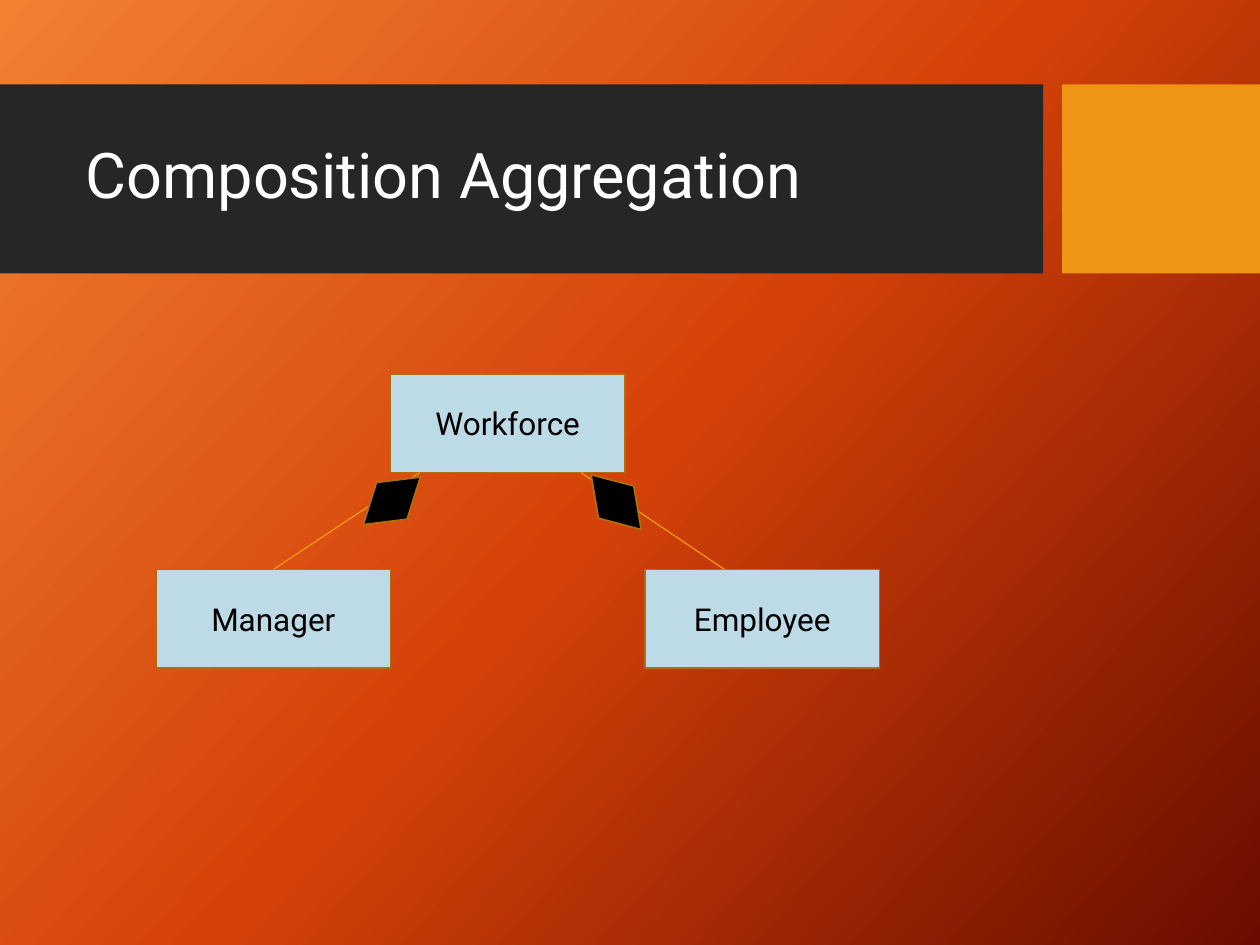
from copy import deepcopy

from pptx import Presentation
from pptx.dml.color import RGBColor
from pptx.enum.shapes import MSO_CONNECTOR, MSO_SHAPE
from pptx.enum.text import MSO_ANCHOR, MSO_AUTO_SIZE, PP_ALIGN
from pptx.oxml.ns import qn
from pptx.util import Inches, Pt

FONT = "Roboto"
WHITE = RGBColor(0xFF, 0xFF, 0xFF)
BLACK = RGBColor(0x00, 0x00, 0x00)
CHARCOAL = RGBColor(0x26, 0x26, 0x26)
AMBER = RGBColor(0xF0, 0x94, 0x15)
BRONZE = RGBColor(0xB2, 0x6D, 0x10)
PALE_BLUE = RGBColor(0xBD, 0xDB, 0xE6)
BACKGROUND_COLORS = (
    RGBColor(0xF1, 0x80, 0x31),
    RGBColor(0xD5, 0x42, 0x09),
    RGBColor(0x6A, 0x0D, 0x00),
)

BAND_TOP, BAND_HEIGHT = 0.67, 1.5
CLASS_WIDTH, CLASS_HEIGHT = 1.86, 0.78
PARENT_TOP, CHILD_TOP = 2.97, 4.52
DIAMOND_WIDTH, DIAMOND_HEIGHT = 0.38, 0.59


def paint_background(slide):
    """Fill with a diagonal gradient of evenly spaced colours."""
    fill = slide.background.fill
    fill.gradient()
    fill.gradient_angle = 360 - 42  # python-pptx counts counter-clockwise
    stop_list = slide._element.find(".//" + qn("a:gsLst"))
    stop_list.append(deepcopy(stop_list[-1]))
    for i, (stop, color) in enumerate(zip(fill.gradient_stops, BACKGROUND_COLORS)):
        stop.color.rgb = color
        stop.position = i / (len(BACKGROUND_COLORS) - 1)


def write_text(shape, text, size, color, align=PP_ALIGN.CENTER, line_spacing=None):
    frame = shape.text_frame
    frame.word_wrap = True
    frame.auto_size = MSO_AUTO_SIZE.NONE
    frame.vertical_anchor = MSO_ANCHOR.MIDDLE
    paragraph = frame.paragraphs[0]
    paragraph.alignment = align
    paragraph.line_spacing = line_spacing
    run = paragraph.add_run()
    run.text = text
    run.font.name = FONT
    run.font.size = Pt(size)
    run.font.color.rgb = color


def add_block(slide, left, top, width, height, fill, line=None,
              preset=MSO_SHAPE.RECTANGLE):
    block = slide.shapes.add_shape(
        preset, Inches(left), Inches(top), Inches(width), Inches(height))
    block.shadow.inherit = False
    block.fill.solid()
    block.fill.fore_color.rgb = fill
    if line is None:
        block.line.fill.background()
    else:
        block.line.color.rgb = line
        block.line.width = Pt(1)
    return block


def add_title(slide, text):
    add_block(slide, 0, BAND_TOP, 8.28, BAND_HEIGHT, CHARCOAL)
    add_block(slide, 8.43, BAND_TOP, 1.57, BAND_HEIGHT, AMBER)
    title = slide.shapes.title
    title.left, title.top = Inches(0.58), Inches(0.82)
    title.width, title.height = Inches(7.54), Inches(1.18)
    write_text(title, text, 36, WHITE, align=PP_ALIGN.LEFT, line_spacing=0.9)
    slide.shapes._spTree.append(title._element)  # bring in front of the bands


def add_class_box(slide, name, left, top):
    box = add_block(slide, left, top, CLASS_WIDTH, CLASS_HEIGHT, PALE_BLUE, BRONZE)
    write_text(box, name, 18, BLACK)


def add_association(slide, child_x, parent_x):
    """Join the top of a child to the bottom of the parent."""
    link = slide.shapes.add_connector(
        MSO_CONNECTOR.STRAIGHT, Inches(child_x), Inches(CHILD_TOP),
        Inches(parent_x), Inches(PARENT_TOP + CLASS_HEIGHT))
    link.line.color.rgb = AMBER
    link.line.width = Pt(0.75)
    properties = link._element.spPr
    properties.append(properties.makeelement(qn("a:effectLst"), {}))


def add_composition_diamond(slide, left, top, rotation):
    diamond = add_block(slide, left, top, DIAMOND_WIDTH, DIAMOND_HEIGHT, BLACK,
                        BRONZE, MSO_SHAPE.FLOWCHART_DECISION)
    diamond.rotation = rotation


def main():
    prs = Presentation()
    prs.slide_width, prs.slide_height = Inches(10), Inches(7.5)
    slide = prs.slides.add_slide(prs.slide_layouts[5])
    paint_background(slide)
    add_title(slide, "Composition Aggregation")

    for name, left, top in (
        ("Workforce", 3.1, PARENT_TOP),
        ("Manager", 1.24, CHILD_TOP),
        ("Employee", 5.12, CHILD_TOP),
    ):
        add_class_box(slide, name, left, top)

    for child_x, parent_x in ((2.17, 3.33), (5.75, 4.61)):
        add_association(slide, child_x, parent_x)

    for left, top, rotation in ((4.7, 3.69, 317.6), (2.92, 3.68, 50.2)):
        add_composition_diamond(slide, left, top, rotation)

    prs.save("out.pptx")


if __name__ == "__main__":
    main()
